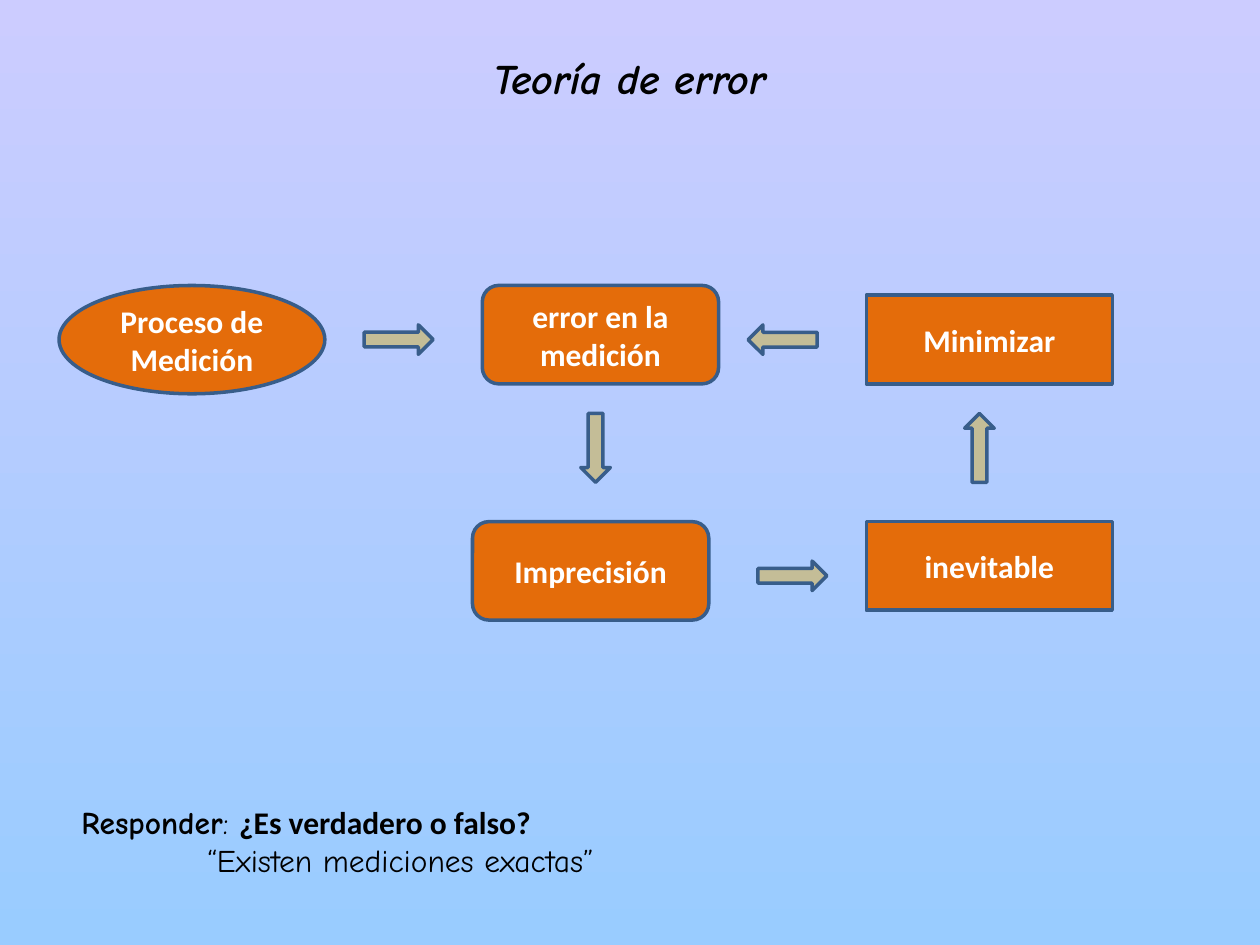
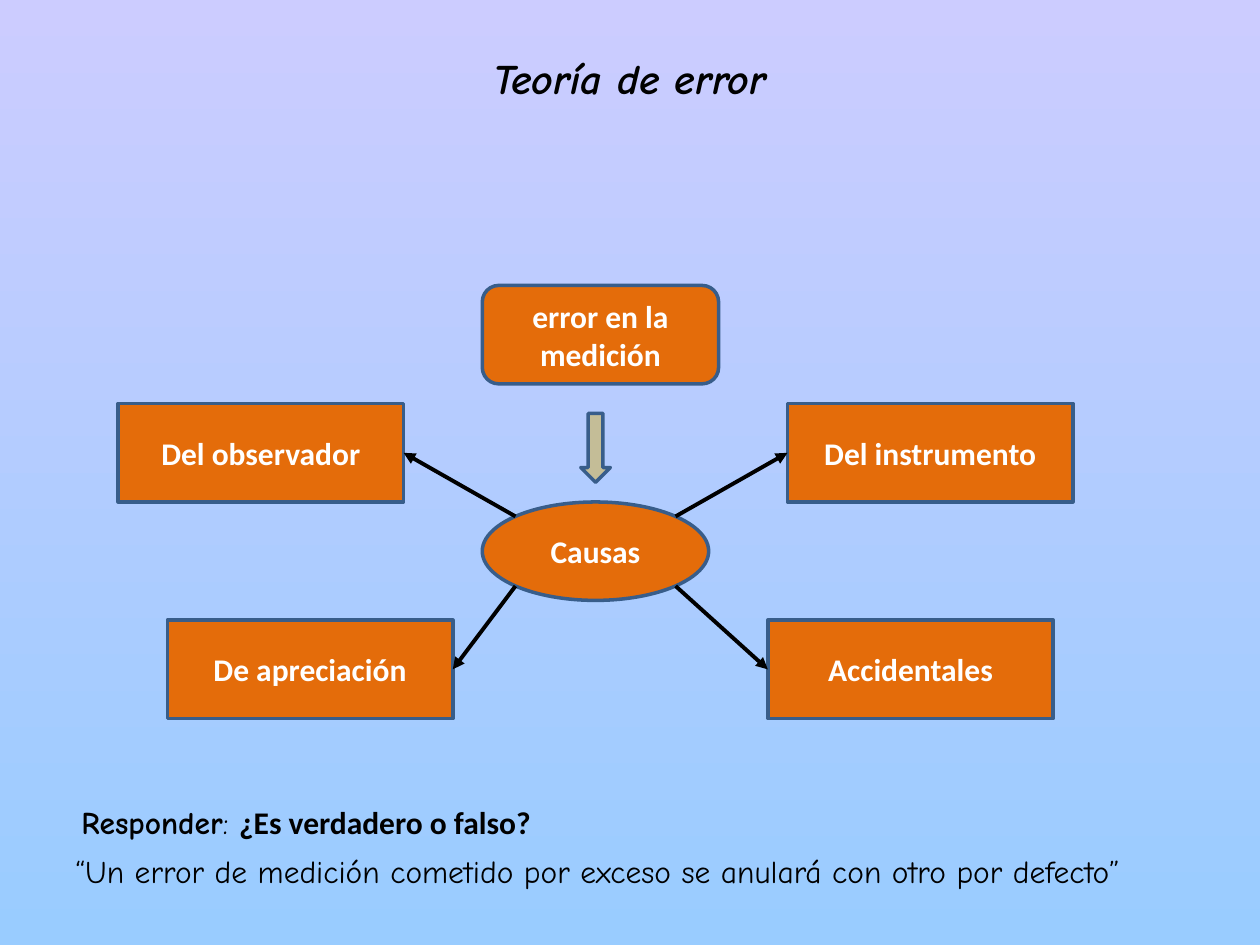
from dataclasses import dataclass
from math import sqrt

from lxml import etree
from pptx import Presentation
from pptx.dml.color import RGBColor
from pptx.enum.shapes import MSO_CONNECTOR, MSO_SHAPE as Preset
from pptx.enum.text import MSO_ANCHOR as Anchor, PP_ALIGN as Align
from pptx.oxml.ns import qn
from pptx.util import Inches, Pt

LILAC = RGBColor(0xCC, 0xCC, 0xFF)
SKY = RGBColor(0x99, 0xCC, 0xFF)
ORANGE = RGBColor(0xE4, 0x6C, 0x0A)
SAND = RGBColor(0xC4, 0xBD, 0x97)
NAVY = RGBColor(0x38, 0x5D, 0x8A)
WHITE = RGBColor(0xFF, 0xFF, 0xFF)
BLACK = RGBColor(0, 0, 0)
HAND_FONT, BODY_FONT = "Comic Neue", "Calibri"

SLIDE_WIDTH, SLIDE_HEIGHT = Inches(10), Inches(7.5)
UNIT = SLIDE_WIDTH / 128  # one column or row of the grid
RIGHT, DOWN, LEFT, UP = 0, 90, 180, 270
TITLE = "Teoría de error"
QUESTION = [
    ("Responder", {"bold": True}),
    (": ", {}),
    ("¿Es verdadero o falso?", {"font": BODY_FONT, "bold": True}),
]


@dataclass
class Region:
    """An area of the slide, measured in grid columns and rows."""
    left: float
    top: float
    width: float
    height: float

    def place(self, column, row, width, height):
        return [round(value * UNIT) for value in
                (self.left + column, self.top + row, width, height)]


DIAGRAM = Region(6, 29, 107, 50)
QUIZ = Region(7, 81, 118, 10)


def write_text(frame, paragraphs, *, font=HAND_FONT, size=18, color=BLACK, bold=False,
               italic=False, align=Align.LEFT, anchor=Anchor.TOP, indents=()):
    """Fill a frame; a paragraph is a string or a list of (text, format) runs."""
    frame.word_wrap = True
    frame.vertical_anchor = anchor
    for index, content in enumerate(paragraphs):
        paragraph = frame.paragraphs[0] if index == 0 else frame.add_paragraph()
        paragraph.alignment = align
        if index < len(indents):
            paragraph._p.get_or_add_pPr().set("marL", str(Inches(indents[index])))
        runs = [(content, {})] if isinstance(content, str) else content
        for text, own in runs:
            run = paragraph.add_run()
            run.text = text
            run.font.name = own.get("font", font)
            run.font.size = Pt(size)
            run.font.color.rgb = color
            run.font.bold = own.get("bold", bold)
            run.font.italic = italic


def add_filled_shape(slide, preset, position, color):
    shape = slide.shapes.add_shape(preset, *position)
    shape.shadow.inherit = False
    shape.fill.solid()
    shape.fill.fore_color.rgb = color
    shape.line.color.rgb = NAVY
    shape.line.width = Pt(2)
    return shape


def add_node(slide, preset, position, *lines):
    node = add_filled_shape(slide, preset, position, ORANGE)
    write_text(node.text_frame, lines, font=BODY_FONT, color=WHITE, bold=True,
               align=Align.CENTER, anchor=Anchor.MIDDLE)
    return node


def add_block_arrow(slide, region, column, row, direction):
    arrow = add_filled_shape(slide, Preset.RIGHT_ARROW,
                             region.place(column, row, 7, 3), SAND)
    arrow.rotation = direction


def add_error_node(slide, region):
    add_node(slide, Preset.ROUNDED_RECTANGLE, region.place(43, 0, 24, 10),
             "error en la medición")
    add_block_arrow(slide, region, 51, 15, DOWN)


def add_measurement_flow(slide, region):
    add_node(slide, Preset.OVAL, region.place(0, 0, 27, 11), "Proceso de", "Medición")
    add_error_node(slide, region)
    add_node(slide, Preset.ROUNDED_RECTANGLE, region.place(42, 24, 24, 10), "Imprecisión")
    for row, label in ((24, "inevitable"), (1, "Minimizar")):
        add_node(slide, Preset.RECTANGLE, region.place(82, row, 25, 9), label)
    for column, row, direction in ((31, 4, RIGHT), (70, 4, LEFT),
                                   (90, 15, UP), (71, 28, RIGHT)):
        add_block_arrow(slide, region, column, row, direction)


def add_cause_arrow(slide, hub, cause):
    """Run an arrow from the hub's diagonal point to the facing side of a cause."""
    on_right = cause.left > hub.left
    side_x = 1 if on_right else -1
    side_y = 1 if cause.top > hub.top else -1
    start_x = round(hub.left + hub.width / 2 * (1 + side_x / sqrt(2)))
    start_y = round(hub.top + hub.height / 2 * (1 + side_y / sqrt(2)))
    connector = slide.shapes.add_connector(MSO_CONNECTOR.STRAIGHT, start_x, start_y,
                                           cause.left, cause.top)
    connector.end_connect(cause, 1 if on_right else 3)
    connector.line.color.rgb = BLACK
    connector.line.width = Pt(2.25)
    etree.SubElement(connector.line._get_or_add_ln(), qn("a:tailEnd"), type="triangle")
    etree.SubElement(connector._element.spPr, qn("a:effectLst"))


def add_causes(slide, region):
    add_error_node(slide, region)
    hub = add_node(slide, Preset.OVAL, region.place(43, 22, 23, 10), "Causas")
    for column, row, label in ((6, 12, "Del observador"), (11, 34, "De apreciación"),
                               (74, 12, "Del instrumento"), (72, 34, "Accidentales")):
        cause = add_node(slide, Preset.RECTANGLE, region.place(column, row, 29, 10), label)
        add_cause_arrow(slide, hub, cause)


def add_text_area(slide, position, paragraphs, **text_format):
    box = slide.shapes.add_textbox(*position)
    write_text(box.text_frame, paragraphs, **text_format)


def add_indented_quiz(slide, region, statement):
    add_text_area(slide, region.place(0, 0, 72, 9), [QUESTION, statement], indents=(0, 1))


def add_wide_quiz(slide, region, statement):
    add_text_area(slide, region.place(-0.6, 4.9, 118, 5), [statement])
    add_text_area(slide, region.place(0, 0, 72, 5), [QUESTION])


def add_titled_slide(presentation):
    slide = presentation.slides.add_slide(presentation.slide_layouts[5])
    title = slide.shapes.title
    title.left, title.top = round(SLIDE_WIDTH * 0.05), round(SLIDE_HEIGHT * 0.04)
    title.width, title.height = round(SLIDE_WIDTH * 0.9), Inches(0.64)
    write_text(title.text_frame, [TITLE], size=24, bold=True, italic=True,
               align=Align.CENTER, anchor=Anchor.MIDDLE)
    return slide


def paint_background(master):
    fill = master.background.fill
    fill.gradient()
    fill.gradient_angle = 270
    for stop, color, position in zip(fill.gradient_stops, (LILAC, SKY), (0, 1)):
        stop.color.rgb = color
        stop.position = position


def main():
    presentation = Presentation()
    presentation.slide_width, presentation.slide_height = SLIDE_WIDTH, SLIDE_HEIGHT
    paint_background(presentation.slide_master)

    flow_slide = add_titled_slide(presentation)
    add_measurement_flow(flow_slide, DIAGRAM)
    add_indented_quiz(flow_slide, QUIZ, "“Existen mediciones exactas”")

    causes_slide = add_titled_slide(presentation)
    add_causes(causes_slide, DIAGRAM)
    add_wide_quiz(causes_slide, QUIZ, "“Un error de medición cometido por exceso "
                                      "se anulará con otro por defecto”")
    presentation.save("out.pptx")


if __name__ == "__main__":
    main()
